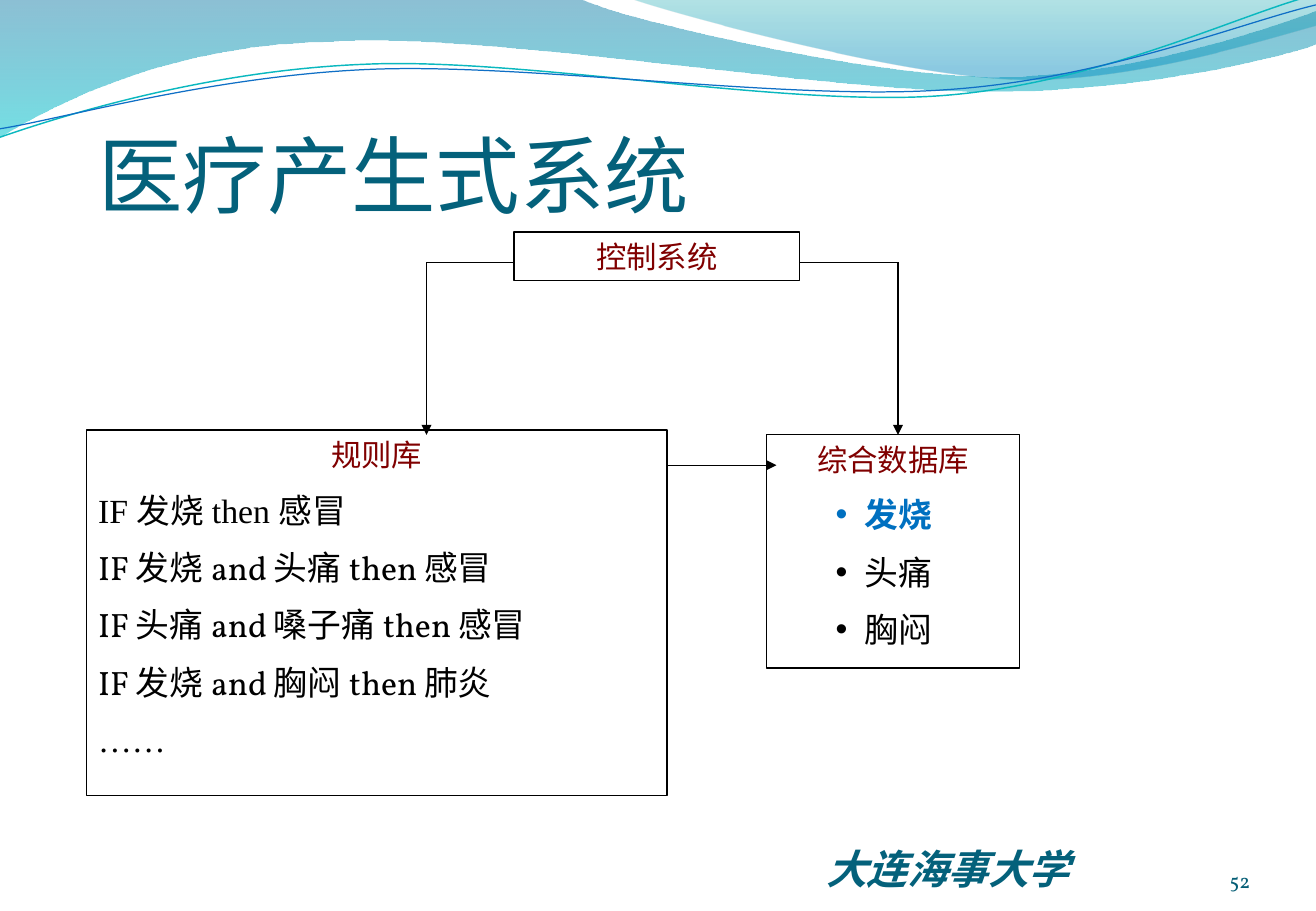
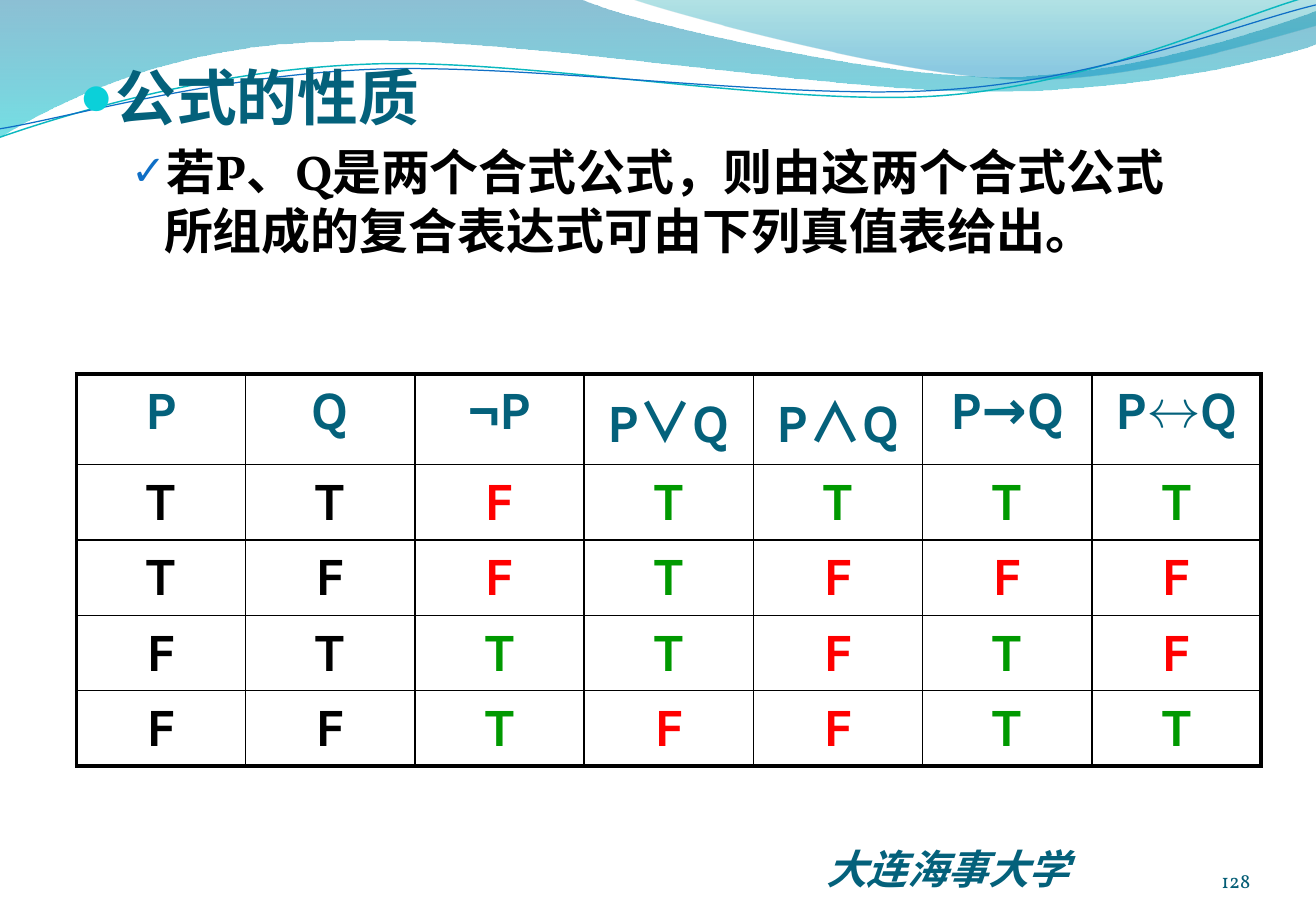
from lxml.etree import SubElement as sub, Element
from pptx import Presentation
from pptx.dml.color import RGBColor
from pptx.enum.shapes import MSO_CONNECTOR as Connector, MSO_SHAPE as Shape
from pptx.enum.text import MSO_ANCHOR as Anchor, MSO_AUTO_SIZE as AutoSize, PP_ALIGN as Align
from pptx.oxml.ns import qn
from pptx.util import Inches, Pt

WIDTH, HEIGHT = 10.83, 7.5
TEAL, MAROON, BLACK = "04617B", "800000", "000000"
BLUE, RED, GREEN = "0070C0", "FF0000", "009900"
CJK, SERIF, TIMES, SANS = "Noto Sans CJK SC", "Vollkorn", "Times New Roman", "Karla"

# Each wave is a start point, then Bezier triples or straight single points
WAVE_FILLS = [
    ([(0, 0), [(4.77, -0.01)],
      [(5.15, 0.17), (7.19, 0.63), (8.22, 0.63)], [(9.24, 0.63), (10.38, 0.26), (10.83, 0.09)],
      [(10.84, 0.36)], [(10.65, 0.44), (9.42, 0.76), (8.08, 0.75)],
      [(6.74, 0.75), (4.14, 0.28), (2.79, 0.34)], [(1.4, 0.36), (0.5, 0.83), (-0.01, 1.13)],
      [(0, 0)]],
     [(0, "0074A1", 45), (1, "00C6CF", 55)]),
    ([(5.19, -0.01), [(5.52, 0.11), (7.39, 0.62), (8.33, 0.65)],
      [(9.27, 0.69), (10.42, 0.32), (10.83, 0.21)], [(10.83, 0)], [(5.19, -0.01)]],
     [(0, "00A1A9", 30), (0.8, "008BBF", 45)]),
]
WAVE_LINES = [
    ([(0, 1.13), [(0.52, 0.95), (1.71, 0.58), (3, 0.53)],
      [(4.28, 0.47), (6.42, 0.88), (7.72, 0.79)], [(9.02, 0.7), (10.17, 0.13), (10.81, -0.04)]],
     "0AB8BF", 0.85),
    ([(0, 1.06), [(0.51, 0.98), (1.77, 0.62), (3.07, 0.57)],
      [(4.36, 0.52), (6.47, 0.83), (7.76, 0.74)], [(9.06, 0.66), (10.2, 0.19), (10.83, 0.04)]],
     "0F6FC6", 0.75),
]


def rgb(value):
    return RGBColor.from_string(value)


def place(shape, box):
    shape.left, shape.top, shape.width, shape.height = map(Inches, box)


def add_span(para, text, size, font, color, bold=False, italic=False):
    span = para.add_run()
    span.text = text
    span.font.size, span.font.name = Pt(size), font
    span.font.bold, span.font.italic = bold, italic
    span.font.color.rgb = rgb(color)
    has_han = any("一" <= char <= "龥" for char in text)
    sub(span._r.get_or_add_rPr(), qn("a:ea"), typeface=CJK if has_han else font)


def add_bullet(para, char, color=None, share=100, left=0.0, right=0.0, hang=0.0):
    props = para._p.get_or_add_pPr()
    for key, value in (("marL", left), ("marR", right), ("indent", -hang)):
        props.set(key, str(Inches(value)))
    if color:
        sub(sub(props, qn("a:buClr")), qn("a:srgbClr"), val=color)
    sub(props, qn("a:buSzPct"), val=str(share * 1000))
    sub(props, qn("a:buFont"), typeface="Arial")
    sub(props, qn("a:buChar"), char=char)


def add_text(frame, text, align=Align.LEFT, before=0, level=0, bullet=None, **style):
    """Fill the first empty paragraph of the frame, or append a new one."""
    para = frame.paragraphs[0]
    if para.runs:
        para = frame.add_paragraph()
    para.alignment, para.level, para.space_before = align, level, Pt(before)
    if bullet:
        add_bullet(para, **bullet)
    add_span(para, text, **style)


def set_frame(frame, anchor=Anchor.TOP, insets=(0.1, 0.05, 0.1, 0.05)):
    frame.word_wrap, frame.auto_size, frame.vertical_anchor = True, AutoSize.NONE, anchor
    (frame.margin_left, frame.margin_top,
     frame.margin_right, frame.margin_bottom) = map(Inches, insets)
    return frame


def add_label(page, box, text, anchor=Anchor.TOP, insets=(0.1, 0.05, 0.1, 0.05), **style):
    label = page.shapes.add_textbox(*map(Inches, box))
    add_text(set_frame(label.text_frame, anchor, insets), text, **style)
    return label


# Shared wave band and footer
def add_wave(page, curve, close):
    points = [(Inches(x), Inches(y)) for part in [curve[:1]] + curve[1:] for x, y in part]
    builder = page.shapes.build_freeform(*points[0], scale=1.0)
    builder.add_line_segments(points[1:], close=close)
    wave = builder.convert_to_shape()
    wave.shadow.inherit = False
    # Join each triple of points into one Bezier segment
    nodes = iter(list(wave.element.iter(qn("a:lnTo"))))
    for part in curve[1:]:
        segment, *controls = [next(nodes) for _ in part]
        if controls:
            segment.tag = qn("a:cubicBezTo")
        for node in controls:
            segment.append(node[0])
            node.getparent().remove(node)
    return wave


def add_shared_parts(page, master):
    parts = []
    for curve, stops in WAVE_FILLS:
        wave = add_wave(page, curve, True)
        wave.fill.gradient()
        wave.fill.gradient_angle = 270
        for stop, (position, color, _) in zip(wave.fill.gradient_stops, stops):
            stop.position, stop.color.rgb = position, rgb(color)
        for node, (_, _, opacity) in zip(wave.element.iter(qn("a:srgbClr")), stops):
            sub(node, qn("a:alpha"), val=str(opacity * 1000))
        wave.line.fill.background()
        parts.append(wave)
    for curve, color, weight in WAVE_LINES:
        wave = add_wave(page, curve, False)
        wave.fill.background()
        wave.line.color.rgb, wave.line.width = rgb(color), Pt(weight)
        parts.append(wave)
    parts.append(add_label(page, (6.7, 6.9, 3.41, 0.51), "大连海事大学", size=24, font="Arial",
                           color=TEAL, bold=True, italic=True))
    # The master carries them for every slide
    for number, part in enumerate(parts, 100):
        next(part.element.iter(qn("p:cNvPr"))).set("id", str(number))
        master.shapes.element.append(part.element)


def add_page_number(page, number):
    add_label(page, (9.39, 6.95, 0.9, 0.4), number, Anchor.BOTTOM, (0, 0, 0, 0),
              align=Align.RIGHT, size=12, font=SERIF, color="045D75")


# Production system diagram
def add_panel(page, box, heading):
    panel = page.shapes.add_shape(Shape.RECTANGLE, *map(Inches, box))
    panel.shadow.inherit = False
    panel.fill.background()
    panel.line.color.rgb, panel.line.width = rgb(BLACK), Pt(0.75)
    frame = set_frame(panel.text_frame)
    add_text(frame, heading, Align.CENTER, size=18, font=TIMES, color=MAROON)
    return frame


def add_link(page, start, end, arrow=False):
    link = page.shapes.add_connector(Connector.STRAIGHT, *map(Inches, start + end))
    link.line.color.rgb, link.line.width = rgb(BLACK), Pt(0.75)
    props = link.element.spPr
    if arrow:
        sub(props.find(qn("a:ln")), qn("a:tailEnd"), type="triangle")
    sub(props, qn("a:effectLst"))


def add_diagram(page, left, top):
    """Place the three panels and their links from the given corner."""
    control = (left + 3.52, top, 2.35, 0.4)
    rules = (left, top + 1.63, 4.78, 3.01)
    data = (left + 5.6, top + 1.67, 2.08, 1.92)
    add_panel(page, control, "控制系统")

    frame = add_panel(page, rules, "规则库")
    lines = [("IF 发烧 then 感冒", TIMES), ("IF 发烧 and 头痛 then 感冒", SERIF),
             ("IF 头痛 and 嗓子痛 then 感冒", SERIF), ("IF 发烧 and 胸闷 then 肺炎", SERIF),
             ("……", TIMES)]
    for text, font in lines:
        add_text(frame, text, before=10, size=20, font=font, color=BLACK)

    frame = add_panel(page, data, "综合数据库")
    for text, color, font in (("发烧", BLUE, TIMES), ("头痛", BLACK, TIMES), ("胸闷", BLACK, SERIF)):
        add_text(frame, text, Align.CENTER, before=10, size=20, font=font, color=color,
                 bold=color == BLUE, bullet=dict(char="•", left=0.24, right=0.15, hang=0.24))

    # Control line drops to both stores, rules feed the data
    level = top + 0.25
    for side, drop in ((control[0], left + 2.8), (control[0] + control[2], left + 6.68)):
        add_link(page, (side, level), (drop, level))
        add_link(page, (drop, level), (drop, data[1]), arrow=True)
    feed = top + 1.92
    add_link(page, (rules[0] + rules[2], feed), (data[0] + 0.08, feed), arrow=True)


def build_diagram_page(page):
    title = page.shapes.title
    place(title, (0.81, 0.6, 9.75, 1.25))
    frame = set_frame(title.text_frame, Anchor.BOTTOM, (0, 0.05, 0, 0))
    add_text(frame, "医疗产生式系统", size=50, font="Calibri", color=TEAL)
    add_diagram(page, 0.71, 1.91)
    add_page_number(page, "52")


# Truth table
def set_borders(cell, weights):
    props = cell._tc.get_or_add_tcPr()
    for index, (side, weight) in enumerate(zip("LRTB", weights)):
        line = Element(qn("a:ln" + side), w=str(Pt(weight)))
        sub(sub(line, qn("a:solidFill")), qn("a:srgbClr"), val=BLACK)
        props.insert(index, line)


def add_truth_table(page, box):
    header = ["P", "Q", "¬P", "P∨Q", "P∧Q", "P→Q", "P↔Q"]
    rows = [header, "TTFTTTT", "TFFTFFF", "FTTTFTF", "FFTFFTT"]
    symbol_fonts = {"¬": "Arial", "∨": CJK, "∧": CJK}
    last_row, last_col = len(rows) - 1, len(header) - 1
    table = page.shapes.add_table(len(rows), len(header), *map(Inches, box)).table
    table.first_row = table.horz_banding = False
    for column in table.columns:
        column.width = Inches(box[2] / len(header))
    for r, values in enumerate(rows):
        table.rows[r].height = Inches(0.62 if r else 0.74)
        for c, value in enumerate(values):
            cell = table.cell(r, c)
            cell.fill.background()
            cell.margin_left = cell.margin_right = Inches(0.11)
            set_borders(cell, [2.25 if edge else 1
                               for edge in (c == 0, c == last_col, r == 0, r == last_row)])
            para = cell.text_frame.paragraphs[0]
            para.alignment = Align.CENTER
            if r == 0:
                color = TEAL
            elif c < 2:
                color = BLACK
            else:
                color = GREEN if value == "T" else RED
            pieces = value if symbol_fonts.keys() & set(value) else [value]
            for piece in pieces:
                add_span(para, piece, 32, symbol_fonts.get(piece, SANS), color, bold=True)


def build_table_page(page):
    heading = page.shapes.title.element
    heading.getparent().remove(heading)
    body = page.placeholders[1]
    place(body, (0.55, 0.44, 9.39, 2.67))
    frame = set_frame(body.text_frame)
    add_text(frame, "公式的性质", size=36, font=CJK, color=TEAL, bold=True,
             bullet=dict(char="●", color="0BD0D9", share=95, left=0.3, hang=0.3))
    add_text(frame, "若P、Q是两个合式公式，则由这两个合式公式所组成的复合表达式可由下列真值表给出。",
             before=5.5, level=1, size=29, font=SERIF, color=BLACK, bold=True,
             bullet=dict(char="✓", color="0F6FC6", share=85, left=0.7, hang=0.27))
    add_truth_table(page, (0.63, 3.08, 9.75, 3.22))
    add_page_number(page, "128")


def main():
    deck = Presentation()
    deck.slide_width, deck.slide_height = Inches(WIDTH), Inches(HEIGHT)
    title_only, title_and_body = deck.slide_layouts[5], deck.slide_layouts[1]
    first = deck.slides.add_slide(title_only)
    add_shared_parts(first, deck.slide_master)
    build_diagram_page(first)
    build_table_page(deck.slides.add_slide(title_and_body))
    deck.save("out.pptx")


if __name__ == "__main__":
    main()
